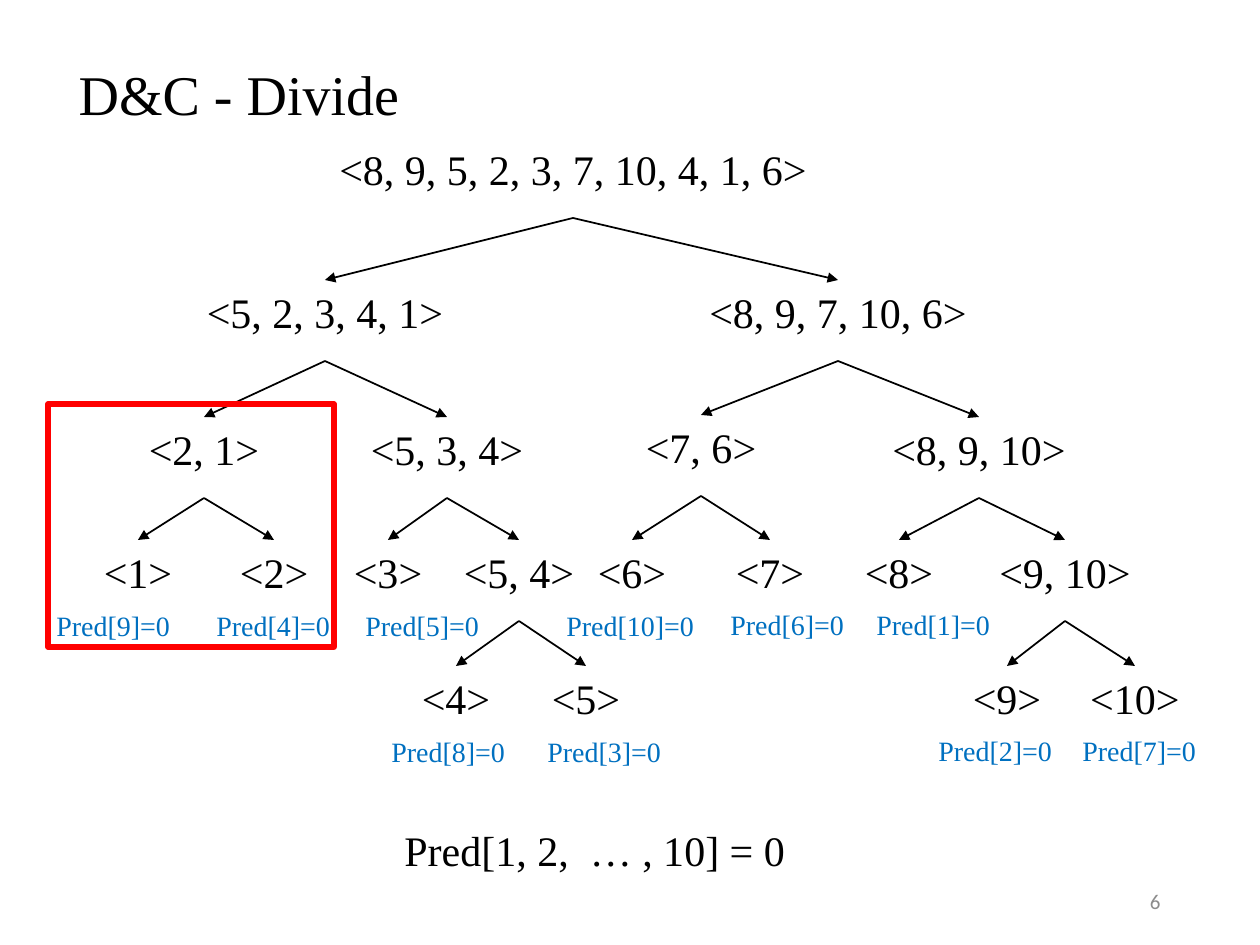
from dataclasses import dataclass

from lxml import etree
from pptx import Presentation
from pptx.dml.color import RGBColor
from pptx.enum.shapes import MSO_CONNECTOR, MSO_SHAPE
from pptx.enum.text import MSO_ANCHOR, MSO_AUTO_SIZE, PP_ALIGN
from pptx.oxml.ns import qn
from pptx.util import Emu, Pt

STRAIGHT = MSO_CONNECTOR.STRAIGHT
RECTANGLE = MSO_SHAPE.RECTANGLE
MIDDLE, TOP = MSO_ANCHOR.MIDDLE, MSO_ANCHOR.TOP
LEFT, CENTER, RIGHT = PP_ALIGN.LEFT, PP_ALIGN.CENTER, PP_ALIGN.RIGHT
FIT_TEXT = MSO_AUTO_SIZE.SHAPE_TO_FIT_TEXT
NO_FIT = MSO_AUTO_SIZE.NONE

PX_PER_INCH = 126
SERIF, SANS = "Times New Roman", "Calibri"
BLACK, GREY, BLUE, RED = "000000", "8C8C8C", "0070C0", "FF0000"
NODE_HEIGHT = 81
LABEL_HEIGHT = 63
BOTTOM_SITE, TOP_SITE = 2, 0


@dataclass
class Node:
    text: str
    center: int
    top: int
    width: int = 199
    children: tuple = ()


TREE = Node("<8, 9, 5, 2, 3, 7, 10, 4, 1, 6>", 573, 137, 514, (
    Node("<5, 2, 3, 4, 1>", 325, 280, 299, (
        Node("<2, 1>", 204, 417, 299, (
            Node("<1>", 138, 540, 106),
            Node("<2>", 274, 540, 106),
        )),
        Node("<5, 3, 4>", 447, 417, 299, (
            Node("<3>", 388, 540, 106),
            Node("<5, 4>", 519, 540, children=(
                Node("<4>", 456, 666),
                Node("<5>", 586, 666),
            )),
        )),
    )),
    Node("<8, 9, 7, 10, 6>", 838, 280, 299, (
        Node("<7, 6>", 701, 415, 299, (
            Node("<6>", 632, 540),
            Node("<7>", 770, 540),
        )),
        Node("<8, 9, 10>", 979, 417, 299, (
            Node("<8>", 899, 540),
            Node("<9, 10>", 1065, 540, children=(
                Node("<9>", 1007, 666),
                Node("<10>", 1135, 666),
            )),
        )),
    )),
))

# index, left, top, width
PREDECESSORS = [
    (9, 44, 586, 141), (4, 204, 586, 141), (5, 353, 586, 141),
    (10, 554, 586, 155), (6, 718, 585, 141), (1, 864, 585, 141),
    (8, 379, 712, 141), (3, 535, 712, 141),
    (2, 926, 711, 141), (7, 1070, 711, 141),
]


def px(length):
    return Emu(round(length * 914400 / PX_PER_INCH))


def color(hex_string):
    return RGBColor.from_string(hex_string)


def place(shape, left, top, width, height):
    shape.left, shape.top = px(left), px(top)
    shape.width, shape.height = px(width), px(height)


def write(shape, text, size, hex_color=BLACK, font=SERIF, align=LEFT,
          anchor=TOP, spacing=1.0, wrap=True):
    """Fill a shape with one formatted paragraph."""
    frame = shape.text_frame
    frame.word_wrap = wrap
    frame.auto_size = NO_FIT if wrap else FIT_TEXT
    frame.vertical_anchor = anchor
    paragraph = frame.paragraphs[0]
    paragraph.text = text
    paragraph.alignment = align
    paragraph.line_spacing = spacing
    paragraph.font.name = font
    paragraph.font.size = Pt(size)
    paragraph.font.color.rgb = color(hex_color)


def add_text(slide, box, text, size, **formatting):
    shape = slide.shapes.add_textbox(*(px(length) for length in box))
    write(shape, text, size, **formatting)
    return shape


def add_arrow(slide, parent, child):
    connector = slide.shapes.add_connector(STRAIGHT, 0, 0, 0, 0)
    connector.begin_connect(parent, BOTTOM_SITE)
    connector.end_connect(child, TOP_SITE)
    connector.line.color.rgb = color(BLACK)
    connector.line.width = Pt(1)
    etree.SubElement(connector.line._get_or_add_ln(), qn("a:tailEnd"), type="triangle")
    etree.SubElement(connector._element.spPr, qn("a:effectLst"))


def add_tree(slide, node):
    """Draw a node and, below it, its subtrees; return the node's shape."""
    box = (node.center - node.width / 2, node.top, node.width, NODE_HEIGHT)
    shape = add_text(slide, box, node.text, 24, align=CENTER)
    for child in node.children:
        add_arrow(slide, shape, add_tree(slide, child))
    return shape


def add_frame(slide, *box):
    frame = slide.shapes.add_shape(RECTANGLE, *(px(length) for length in box))
    frame.shadow.inherit = False
    frame.fill.background()
    frame.line.color.rgb = color(RED)
    frame.line.width = Pt(3)


def main():
    presentation = Presentation()
    presentation.slide_width, presentation.slide_height = px(1260), px(945)
    slide = presentation.slides.add_slide(presentation.slide_layouts[5])

    title = slide.shapes.title
    place(title, 66, 57, 1086, 81)
    write(title, "D&C - Divide", 32, anchor=MIDDLE, spacing=0.9)

    add_tree(slide, TREE)
    for index, left, top, width in PREDECESSORS:
        add_text(slide, (left, top, width, LABEL_HEIGHT), f"Pred[{index}]=0", 16,
                 hex_color=BLUE, spacing=1.5, wrap=False)
    add_text(slide, (392, 793, 410, 79), "Pred[1, 2,  … , 10] = 0", 24,
             spacing=1.5, wrap=False)
    add_frame(slide, 48, 404, 286, 243)
    add_text(slide, (890, 876, 283, 50), "6", 12, hex_color=GREY, font=SANS,
             align=RIGHT, anchor=MIDDLE)

    presentation.save("out.pptx")


if __name__ == "__main__":
    main()
